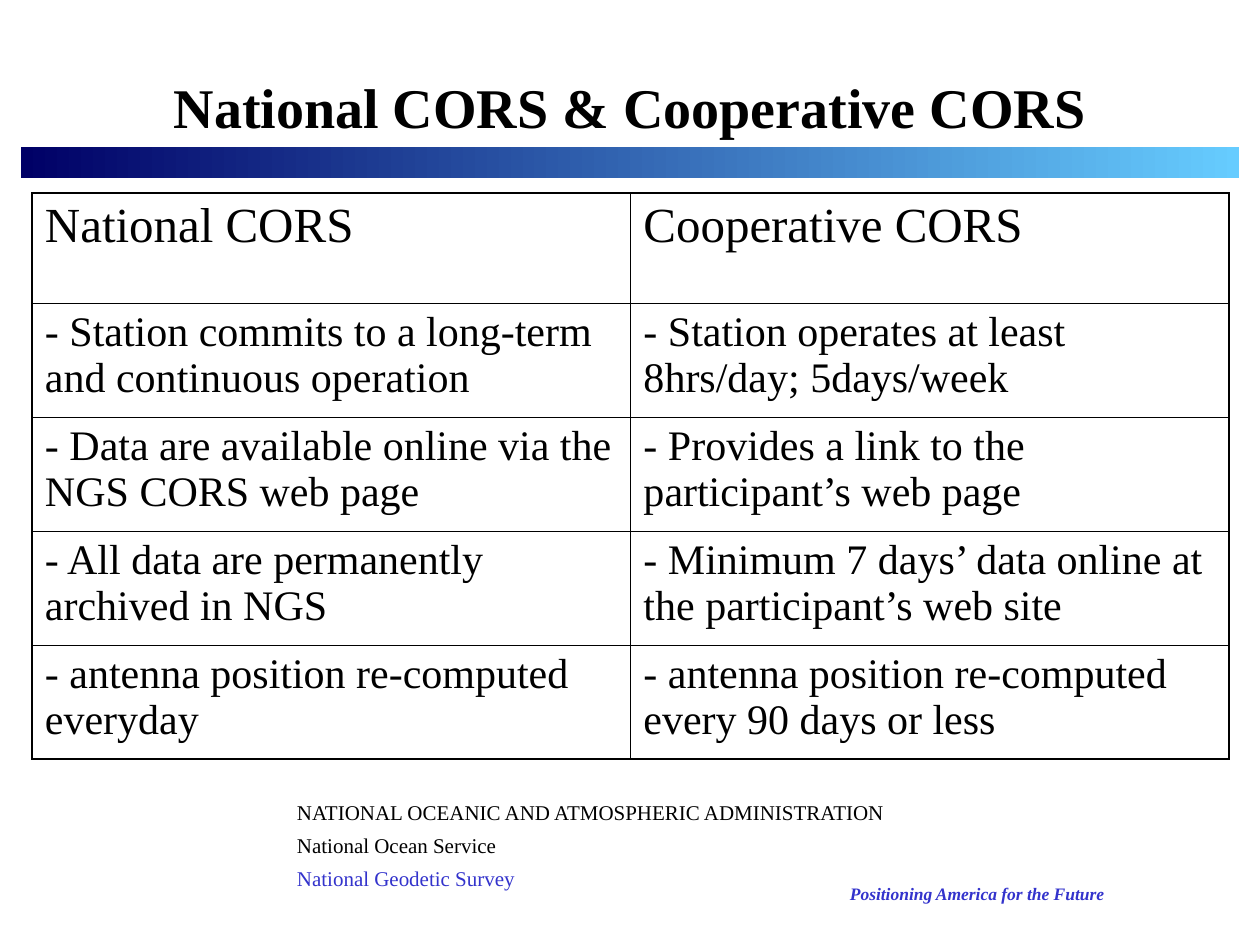
from dataclasses import dataclass

from lxml import etree
from pptx import Presentation
from pptx.dml.color import RGBColor
from pptx.enum.shapes import MSO_SHAPE
from pptx.enum.text import MSO_ANCHOR, PP_ALIGN
from pptx.oxml.ns import qn
from pptx.util import Emu, Pt

RECTANGLE = MSO_SHAPE.RECTANGLE
TOP, BOTTOM = MSO_ANCHOR.TOP, MSO_ANCHOR.BOTTOM
LEFT, CENTER = PP_ALIGN.LEFT, PP_ALIGN.CENTER

PX_PER_INCH = 126
FONT = "Times New Roman"
BLACK, BLUE = "000000", "3333CC"
OUTER_WIDTH, INNER_WIDTH = 1.08, 0.45
TITLE_ONLY = 5


@dataclass
class Line:
    text: str
    size: int
    color: str = BLACK
    bold: bool = False
    italic: bool = False


@dataclass
class Area:
    left: int
    top: int
    width: int
    height: int


TITLE = Line("National CORS & Cooperative CORS", 32, bold=True)
MOTTO = Line("Positioning America for the Future", 10, BLUE, True, True)
AGENCY = [
    Line("NATIONAL OCEANIC AND ATMOSPHERIC ADMINISTRATION", 12),
    Line("National Ocean Service", 12),
    Line("National Geodetic Survey", 12, BLUE),
]
COMPARISON = [
    ("National CORS", "Cooperative CORS"),
    ("- Station commits to a long-term and continuous operation",
     "- Station operates at least 8hrs/day; 5days/week"),
    ("- Data are available online via the NGS CORS web page",
     "- Provides a link to the participant’s web page"),
    ("- All data are permanently archived in NGS",
     "- Minimum 7 days’ data online at the participant’s web site"),
    ("- antenna position re-computed everyday",
     "- antenna position re-computed every 90 days or less"),
]


def px(value: int) -> Emu:
    return Emu(round(value * 914400 / PX_PER_INCH))


def rgb(color: str) -> RGBColor:
    return RGBColor.from_string(color)


def bounds(area: Area) -> tuple:
    return px(area.left), px(area.top), px(area.width), px(area.height)


def add_run(para, line: Line) -> None:
    run = para.add_run()
    run.text = line.text
    font = run.font
    font.name = FONT
    font.size = Pt(line.size)
    font.bold = line.bold
    font.italic = line.italic
    font.color.rgb = rgb(line.color)


def set_insets(owner, side: int, top: int, bottom: int) -> None:
    owner.margin_left = owner.margin_right = px(side)
    owner.margin_top = px(top)
    owner.margin_bottom = px(bottom)


def add_title(slide, area: Area, line: Line) -> None:
    title = slide.shapes.title
    title.left, title.top, title.width, title.height = bounds(area)
    frame = title.text_frame
    frame.word_wrap = True
    frame.vertical_anchor = BOTTOM
    set_insets(frame, 13, 6, 4)
    para = frame.paragraphs[0]
    para.alignment = CENTER
    para.line_spacing = 1.0
    para.space_before = Pt(0)
    add_run(para, line)


def add_bar(slide, area: Area) -> None:
    bar = slide.shapes.add_shape(RECTANGLE, *bounds(area))
    bar.shadow.inherit = False
    bar.line.fill.background()
    bar.fill.gradient()
    bar.fill.gradient_angle = 180
    for stop, color in zip(bar.fill.gradient_stops, ("66CCFF", "000066")):
        stop.color.rgb = rgb(color)


def add_footer(slide, area: Area, lines: list[Line], alignment,
               side: int, top: int) -> None:
    box = slide.shapes.add_textbox(*bounds(area))
    frame = box.text_frame
    frame.word_wrap = True
    frame.vertical_anchor = TOP
    set_insets(frame, side, top, top)
    for index, line in enumerate(lines):
        para = frame.add_paragraph() if index else frame.paragraphs[0]
        para.alignment = alignment
        para.line_spacing = 0.8
        para.space_before = Pt(7.5 if index else 0)
        add_run(para, line)


def set_border(cell, tag: str, width: float) -> None:
    properties = cell._tc.get_or_add_tcPr()
    border = etree.SubElement(properties, qn(tag), w=str(Pt(width)))
    fill = etree.SubElement(border, qn("a:solidFill"))
    etree.SubElement(fill, qn("a:srgbClr"), val=BLACK)


def add_comparison(slide, area: Area, header_height: int) -> None:
    last_row, last_column = len(COMPARISON) - 1, len(COMPARISON[0]) - 1
    frame = slide.shapes.add_table(last_row + 1, last_column + 1, *bounds(area))
    table = frame.table
    table.first_row = False
    table.horz_banding = False
    body_height = (area.height - header_height) // last_row
    for row_index, texts in enumerate(COMPARISON):
        table.rows[row_index].height = px(body_height if row_index else header_height)
        for column_index, text in enumerate(texts):
            cell = table.cell(row_index, column_index)
            edges = {
                "a:lnL": column_index == 0,
                "a:lnR": column_index == last_column,
                "a:lnT": row_index == 0,
                "a:lnB": row_index == last_row,
            }
            for tag, is_outer in edges.items():
                set_border(cell, tag, OUTER_WIDTH if is_outer else INNER_WIDTH)
            cell.fill.background()
            cell.vertical_anchor = TOP
            set_insets(cell, 13, 6, 6)
            para = cell.text_frame.paragraphs[0]
            para.alignment = LEFT
            add_run(para, Line(text, 24 if row_index else 28))


def main() -> None:
    deck = Presentation()
    deck.slide_width, deck.slide_height = px(1260), px(945)
    slide = deck.slides.add_slide(deck.slide_layouts[TITLE_ONLY])
    add_bar(slide, Area(21, 147, 1218, 31))
    add_footer(slide, Area(788, 882, 378, 26), [MOTTO], CENTER, 10, 5)
    add_footer(slide, Area(284, 798, 651, 100), AGENCY, LEFT, 13, 6)
    add_title(slide, Area(0, 63, 1260, 81), TITLE)
    add_comparison(slide, Area(32, 193, 1197, 566), 110)
    deck.save("out.pptx")


if __name__ == "__main__":
    main()
